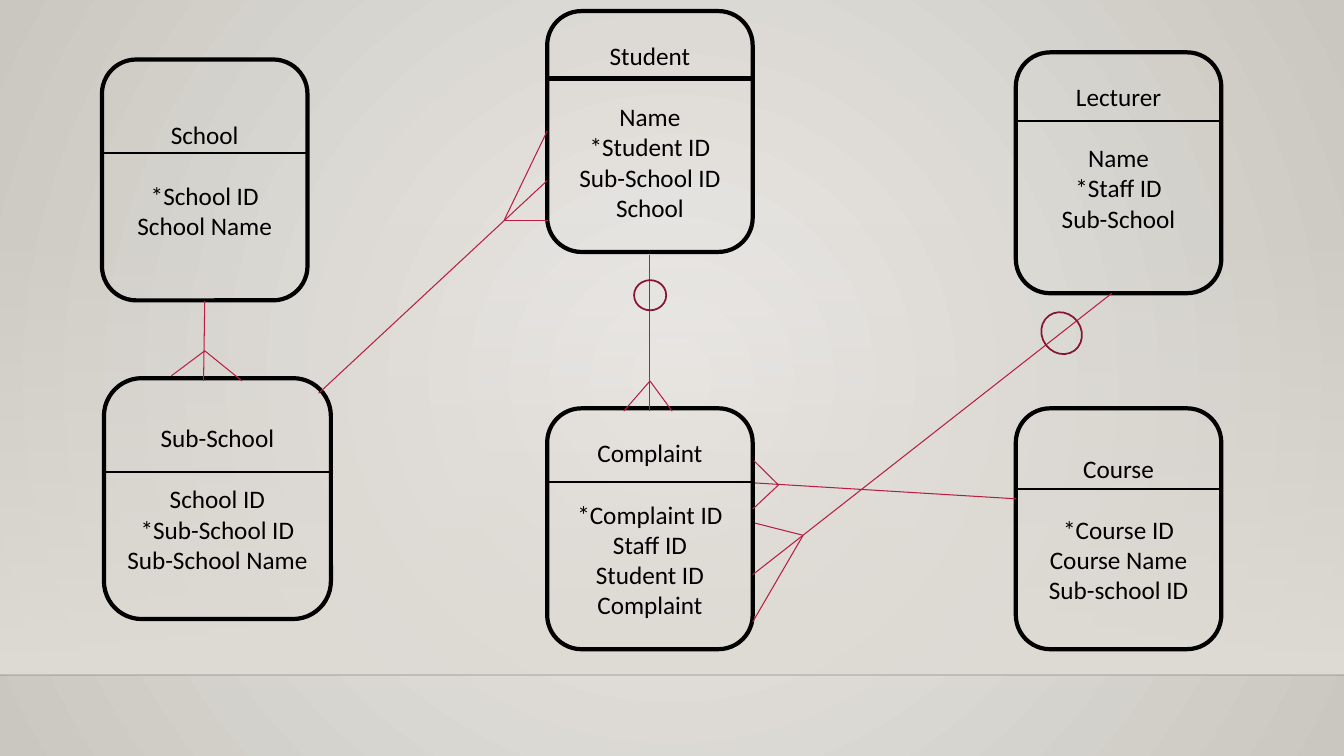
import lxml.etree
import pptx
import pptx.dml.color
import pptx.enum.shapes
import pptx.enum.text
import pptx.oxml.ns
import pptx.util
from pptx.util import Cm

RGBColor = pptx.dml.color.RGBColor
SHAPES = pptx.enum.shapes.MSO_SHAPE
qn = pptx.oxml.ns.qn

BLACK = RGBColor(0x00, 0x00, 0x00)
CRIMSON = RGBColor(0xB7, 0x1E, 0x42)
RING_RED = RGBColor(0x87, 0x16, 0x31)
CENTRE_GREY = RGBColor(0xEC, 0xEA, 0xE7)
EDGE_GREY = RGBColor(0xCA, 0xC7, 0xC1)
WALL_GREY = RGBColor(0xDF, 0xDB, 0xD5)

PAGE_WIDTH, PAGE_HEIGHT = 33.87, 19.05
ENTITY_HEIGHT = 6.07
LINE_GAP = 22  # points, one line of 18 pt text

# name: (left, top, width), divider offset, divider weight, empty lines below, attributes
ENTITIES = {
    "Student": ((13.79, 0.28, 5.18), 1.7, 3, 0,
                ["Name", "*Student ID", "Sub-School ID", "School"]),
    "Lecturer": ((25.6, 1.32, 5.18), 1.73, 1.75, 1,
                 ["Name", "*Staff ID", "Sub-School"]),
    "Complaint": ((13.79, 10.29, 5.18), 1.85, 1.75, 0,
                  ["*Complaint ID", "Staff ID", "Student ID", "Complaint"]),
    "School": ((2.57, 1.5, 5.18), 2.36, 1.75, 0,
               ["*School ID", "School Name"]),
    "Sub-School": ((2.62, 9.53, 5.72), 2.36, 1.75, 0,
                   ["School ID", "*Sub-School ID", "Sub-School Name"]),
    "Course": ((25.6, 10.29, 5.18), 2.03, 1.75, 0,
               ["*Course ID", "Course Name", "Sub-school ID"]),
}

# source, start in its box; target, then end, foot and two toes in the target's box
RELATIONSHIPS = [
    ("Student", (2.59, 6.15), "Complaint",
     (2.59, 0.07), (2.59, -0.69), [(1.93, 0.07), (3.15, 0.07)]),
    ("Sub-School", (5.41, 0.38), "Student",
     (0, 4.27), (-1.09, 5.28), [(0, 3.02), (0.03, 5.28)]),
    ("School", (2.59, 6.09), "Sub-School",
     (2.51, 0.07), (2.54, -0.69), [(1.7, -0.06), (3.48, 0.07)]),
    ("Lecturer", (2.42, 6.07), "Complaint",
     (5.18, 4.19), (6.45, 3.2), [(5.23, 2.89), (5.18, 5.38)]),
    ("Course", (0, 2.28), "Complaint",
     (5.23, 1.88), (5.83, 1.93), [(5.21, 1.32), (5.18, 2.54)]),
]

# entity, (left, top) from its box, (width, height), rotation
RINGS = [
    ("Student", (2.19, 6.78), (0.81, 0.76), 0),
    ("Lecturer", (0.66, 6.53), (0.99, 1.09), 323.8),
]


def set_alpha(color_element, percent):
    alpha = lxml.etree.SubElement(color_element, qn("a:alpha"))
    alpha.set("val", str(percent * 1000))


def set_gradient(fill, first, last):
    fill.gradient()
    for stop, color in zip(fill.gradient_stops, (first, last)):
        stop.color.rgb = color


def add_line(page, start, end, color, weight):
    line = page.shapes.add_connector(
        pptx.enum.shapes.MSO_CONNECTOR.STRAIGHT,
        Cm(start[0]), Cm(start[1]), Cm(end[0]), Cm(end[1]))
    line.line.color.rgb = color
    line.line.width = pptx.util.Pt(weight)
    lxml.etree.SubElement(line._element.spPr, qn("a:effectLst"))
    return line


def add_outline(page, kind, left, top, width, height, color, weight):
    """Add an unfilled shape."""
    shape = page.shapes.add_shape(kind, Cm(left), Cm(top), Cm(width), Cm(height))
    shape.shadow.inherit = False
    shape.fill.background()
    shape.line.color.rgb = color
    shape.line.width = pptx.util.Pt(weight)
    return shape


def add_backdrop(page, left, top, width, height):
    """Paint the radial background, and the wall with its floor line in the box."""
    set_gradient(page.background.fill, CENTRE_GREY, EDGE_GREY)
    gradient = page._element.find(".//" + qn("a:gradFill"))
    gradient.remove(gradient.find(qn("a:lin")))
    radial = lxml.etree.SubElement(gradient, qn("a:path"))
    radial.set("path", "circle")
    centre = lxml.etree.SubElement(radial, qn("a:fillToRect"))
    for side in "ltrb":
        centre.set(side, "50000")

    wall = page.shapes.add_shape(SHAPES.RECTANGLE, Cm(left), Cm(top), Cm(width), Cm(height))
    wall.shadow.inherit = False
    wall.line.fill.background()
    set_gradient(wall.fill, WALL_GREY, WALL_GREY)
    wall.fill.gradient_angle = 270
    set_alpha(wall._element.find(".//" + qn("a:srgbClr")), 0)

    floor = top + height
    floor_line = add_line(page, (left, floor), (left + width, floor), BLACK, 1)
    set_alpha(floor_line._element.find(".//" + qn("a:srgbClr")), 20)


def add_entity(page, box, name, divider, weight, lines_below, attributes):
    left, top, width = box
    card = add_outline(page, SHAPES.ROUNDED_RECTANGLE, left, top, width,
                       ENTITY_HEIGHT, BLACK, 3)
    frame = card.text_frame
    frame.word_wrap = True
    frame.vertical_anchor = pptx.enum.text.MSO_ANCHOR.MIDDLE
    frame.margin_bottom += pptx.util.Pt(LINE_GAP * lines_below)
    frame.text = "\n".join([name] + attributes)
    for para in frame.paragraphs:
        para.alignment = pptx.enum.text.PP_ALIGN.CENTER
        para.font.name = "Calibri"
        para.font.size = pptx.util.Pt(18)
        para.font.color.rgb = BLACK
    frame.paragraphs[0].space_after = pptx.util.Pt(LINE_GAP)
    add_line(page, (left, top + divider), (left + width, top + divider), BLACK, weight)


def add_relationship(page, source_box, start, target_box, end, foot, toes):
    """Draw a line between two entities with a crow's foot at the target."""
    def place(box, point):
        return box[0] + point[0], box[1] + point[1]

    add_line(page, place(source_box, start), place(target_box, end), CRIMSON, 0.75)
    for toe in toes:
        add_line(page, place(target_box, foot), place(target_box, toe), CRIMSON, 0.75)


def add_ring(page, box, offset, size, rotation):
    """Mark a relationship as optional."""
    ring = add_outline(page, SHAPES.OVAL, box[0] + offset[0], box[1] + offset[1],
                       *size, RING_RED, 1.25)
    ring.rotation = rotation


def main():
    deck = pptx.Presentation()
    deck.slide_width, deck.slide_height = Cm(PAGE_WIDTH), Cm(PAGE_HEIGHT)
    page = deck.slides.add_slide(deck.slide_layouts[6])
    add_backdrop(page, 0, 5.61, PAGE_WIDTH, 11.4)
    boxes = {name: details[0] for name, details in ENTITIES.items()}
    for name, (box, *details) in ENTITIES.items():
        add_entity(page, box, name, *details)
    for source, start, target, *points in RELATIONSHIPS:
        add_relationship(page, boxes[source], start, boxes[target], *points)
    for name, *details in RINGS:
        add_ring(page, boxes[name], *details)
    deck.save("out.pptx")


if __name__ == "__main__":
    main()
